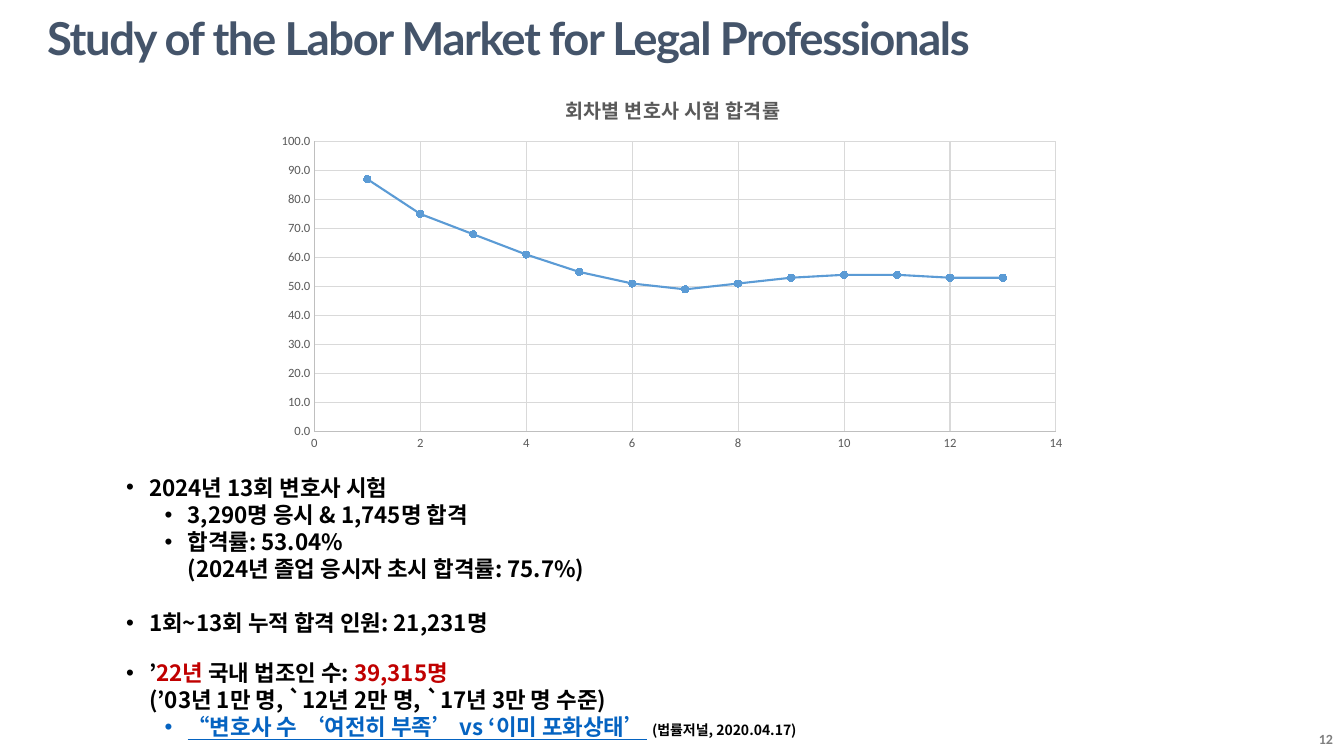
from lxml import etree
from pptx import Presentation
from pptx.chart.data import XyChartData
from pptx.dml.color import RGBColor
from pptx.enum.chart import XL_CHART_TYPE, XL_MARKER_STYLE, XL_TICK_MARK
from pptx.enum.text import MSO_ANCHOR, PP_ALIGN
from pptx.oxml import parse_xml
from pptx.oxml.ns import nsdecls, qn
from pptx.util import Cm, Pt

BLACK = RGBColor(0x00, 0x00, 0x00)
NAVY = RGBColor(0x44, 0x54, 0x6A)
RED = RGBColor(0xC0, 0x00, 0x00)
LINK_BLUE = RGBColor(0x05, 0x63, 0xC1)
SERIES_BLUE = RGBColor(0x5B, 0x9B, 0xD5)
PAGE_GRAY = RGBColor(0x80, 0x80, 0x80)
LABEL_GRAY = RGBColor(0x59, 0x59, 0x59)
AXIS_GRAY = RGBColor(0xBF, 0xBF, 0xBF)
GRID_GRAY = RGBColor(0xD9, 0xD9, 0xD9)


def add_run(paragraph, text, size, color, font_name, underline=None):
    run = paragraph.add_run()
    run.text = text
    font = run.font
    font.size = Pt(size)
    font.bold = True
    font.underline = underline
    font.color.rgb = color
    font.name = font_name
    return run


def add_text_frame(left, top, width, height):
    text_box = slide.shapes.add_textbox(Cm(left), Cm(top), Cm(width), Cm(height))
    text_box.text_frame.word_wrap = True
    return text_box.text_frame


presentation = Presentation()
presentation.slide_width = Cm(33.87)
presentation.slide_height = Cm(19.05)
slide = presentation.slides.add_slide(presentation.slide_layouts[6])

title_frame = add_text_frame(0.94, 0.18, 27.81, 1.7)
title_frame.vertical_anchor = MSO_ANCHOR.MIDDLE
title_paragraph = title_frame.paragraphs[0]
title_paragraph.line_spacing = 0.9
title_run = add_run(title_paragraph, "Study of the Labor Market for Legal Professionals",
                    32.4, NAVY, "Lato")
title_run._r.get_or_add_rPr().set("spc", "-100")

page_paragraph = add_text_frame(32.84, 18.29, 1, 0.74).paragraphs[0]
page_paragraph.alignment = PP_ALIGN.RIGHT
add_run(page_paragraph, "12", 10, PAGE_GRAY, "Calibri")

pass_rates = [87, 75, 68, 61, 55, 51, 49, 51, 53, 54, 54, 53, 53]
chart_data = XyChartData()
series_data = chart_data.add_series("Series 1")
for exam_round, pass_rate in enumerate(pass_rates, start=1):
    series_data.add_data_point(exam_round, pass_rate)
chart = slide.shapes.add_chart(XL_CHART_TYPE.XY_SCATTER_LINES, Cm(6.69), Cm(1.93),
                               Cm(20.54), Cm(9.62), chart_data).chart
chart.has_legend = False
chart.font.name = "Calibri"
chart.font.size = Pt(10)
chart.has_title = True
add_run(chart.chart_title.text_frame.paragraphs[0], "회차별 변호사 시험 합격률",
        14, LABEL_GRAY, "Calibri")

plot = chart.plots[0]
plot.vary_by_categories = False
series = plot.series[0]
series.smooth = False
series.format.line.color.rgb = SERIES_BLUE
series.format.line.width = Pt(1.5)
series.marker.style = XL_MARKER_STYLE.CIRCLE
series.marker.size = 5
series.marker.format.fill.solid()
series.marker.format.fill.fore_color.rgb = SERIES_BLUE
series.marker.format.line.color.rgb = SERIES_BLUE

for axis, maximum, step, number_format in (
    (chart.category_axis, 14, 2, "0"),
    (chart.value_axis, 100, 10, "0.0"),
):
    axis.minimum_scale = 0
    axis.maximum_scale = maximum
    axis.major_unit = step
    axis.major_tick_mark = XL_TICK_MARK.NONE
    axis.minor_tick_mark = XL_TICK_MARK.NONE
    axis.tick_labels.number_format = number_format
    axis.tick_labels.number_format_is_linked = False
    axis.tick_labels.font.name = "Calibri"
    axis.tick_labels.font.size = Pt(9)
    axis.tick_labels.font.color.rgb = LABEL_GRAY
    axis.has_major_gridlines = True
    for line, color in ((axis.format.line, AXIS_GRAY),
                        (axis.major_gridlines.format.line, GRID_GRAY)):
        line.color.rgb = color
        line.width = Pt(0.75)

plot_area = chart._chartSpace.find(".//" + qn("c:plotArea"))
for layout in plot_area.findall(qn("c:layout")):
    plot_area.remove(layout)
plot_area.insert(0, parse_xml(
    f'<c:layout {nsdecls("c")}><c:manualLayout><c:layoutTarget val="inner"/>'
    '<c:xMode val="edge"/><c:yMode val="edge"/><c:x val="0.06"/><c:y val="0.17"/>'
    '<c:w val="0.91"/><c:h val="0.76"/></c:manualLayout></c:layout>'))

bullets = [
    (0, 0, [("2024년 13회 변호사 시험", BLACK, 16)]),
    (1, 0, [("3,290명 응시 & 1,745명 합격", BLACK, 16)]),
    (1, 19.4, [("합격률: 53.04% ", BLACK, 16), None,
               ("(2024년 졸업 응시자 초시 합격률: 75.7%)", BLACK, 16)]),
    (0, 16, [("1회~13회 누적 합격 인원: 21,231명", BLACK, 16)]),
    (0, 0, [("’", BLACK, 16), ("22년", RED, 16), (" 국내 법조인 수: ", BLACK, 16),
            ("39,315명", RED, 16), None,
            ("(’03년 1만 명, `12년 2만 명, `17년 3만 명 수준)", BLACK, 16)]),
    (1, 0, [("“변호사 수 ‘여전히 부족’ vs ‘이미 포화상태’", LINK_BLUE, 16),
            (" ", BLACK, 16), ("(법률저널, 2020.04.17)", BLACK, 10)]),
]
body_frame = add_text_frame(2.93, 11.81, 22.86, 7.09)
for index, (level, space_after, runs) in enumerate(bullets):
    paragraph = body_frame.add_paragraph() if index else body_frame.paragraphs[0]
    paragraph.level = level
    paragraph.line_spacing = Pt(19.4)
    paragraph.space_after = Pt(space_after)
    properties = paragraph._p.get_or_add_pPr()
    properties.set("marL", str(Cm(1.55 if level else 0.58)))
    properties.set("indent", str(-Cm(0.58)))
    etree.SubElement(properties, qn("a:buFont")).set("typeface", "Arial")
    etree.SubElement(properties, qn("a:buChar")).set("char", "•")
    for run_parts in runs:
        if run_parts is None:
            paragraph.add_line_break()
        else:
            text, color, size = run_parts
            add_run(paragraph, text, size, color, "Noto Sans CJK KR",
                    underline=True if color == LINK_BLUE else None)

presentation.save("out.pptx")
